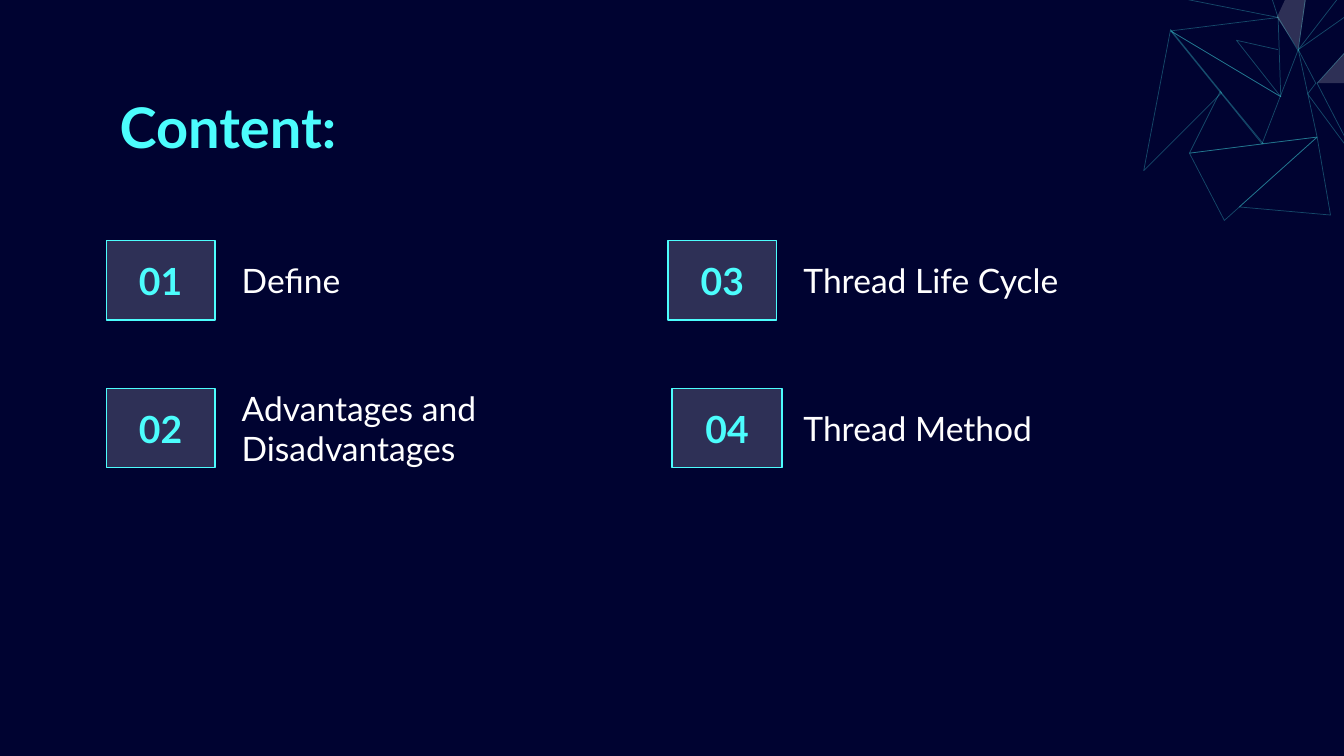
"""Build the contents slide: a heading, four numbered topics and a corner mesh."""
from lxml.etree import SubElement
from pptx import Presentation
from pptx.dml.color import RGBColor
from pptx.enum.shapes import MSO_SHAPE
from pptx.enum.text import MSO_ANCHOR as Anchor, MSO_AUTO_SIZE as AutoSize, PP_ALIGN as Align
from pptx.oxml.ns import qn
from pptx.util import Inches, Pt

HEADING = "Content:"
TOPICS = [
    {"number": "01", "label": "Define", "column": 0, "row": 0},
    {"number": "02", "label": "Advantages and Disadvantages", "column": 0, "row": 1, "label_width": 2.38},
    {"number": "03", "label": "Thread Life Cycle", "column": 1, "row": 0},
    {"number": "04", "label": "Thread Method", "column": 1, "row": 1, "nudge": 0.03, "box_width": 0.82},
]
MESH_LOOPS = [
    [(9.39, 1.07), (9.8, 1.02), (9.66, 0.37)],
    [(9.66, 0.37), (9.79, 0.62), (9.73, 0.7), (10.1, 1.2), (9.8, 0.62), (10.67, -0.34)],
    [(9.66, 0.37), (10.27, -0.42), (9.78, -0.5)],
    [(8.65, -0.04), (9.51, 0.13), (9.25, -0.68)],
    [(8.51, 1.27), (9.09, 0.69), (8.71, 0.22)],
    [(8.85, 1.14), (9.11, 1.64), (9.8, 1.02)],
    [(8.85, 1.14), (9.4, 1.07), (9.08, 0.68)],
    [(9.22, 1.54), (9.9, 1.6), (9.8, 1.02)],
]
MESH_TRAILS = [
    [(9.39, 1.07), (8.71, 0.23), (9.53, 0.72), (9.51, 0.13), (9.66, 0.38)],
    [(9.51, 0.37), (9.2, 0.3), (9.53, 0.72), (8.71, 0.23), (9.51, 0.13)],
]
MESH_FACETS = [
    [(9.5, 0.13), (9.79, -0.49), (9.66, 0.37)],
    [(9.8, 0.62), (10.57, 0.62), (10.3, 0.06)],
]
THEME = {
    "font": "Lato",
    "background": RGBColor(0x00, 0x03, 0x31),
    "accent": RGBColor(0x4C, 0xFD, 0xFD),
    "white": RGBColor(0xFF, 0xFF, 0xFF),
    "heading": Pt(30),
    "number": Pt(20),
    "label": Pt(18),
    "border": Pt(0.75),
    "hairline": Pt(0.4),
    "facet_opacity": 18,
    "mesh_opacity": 28,
}
LEFT, TOP = 0.79, 1.79
COLUMN_STEP, ROW_STEP = 4.18, 1.1
BOX_WIDTH, BOX_HEIGHT = 0.81, 0.59
LABEL_OFFSET, LABEL_WIDTH = 0.91, 3.18


def set_opacity(fill_parent, percent):
    color = next(fill_parent.iter(qn("a:srgbClr")))
    SubElement(color, qn("a:alpha"), val=str(percent * 1000))


def paint(shape, color, opacity):
    shape.fill.solid()
    shape.fill.fore_color.rgb = color
    set_opacity(shape.fill._xPr, opacity)


def draw_mesh(slide, points, closed=True, facet=False):
    start, *rest = [(Inches(x), Inches(y)) for x, y in points]
    builder = slide.shapes.build_freeform(*start)
    builder.add_line_segments(rest, close=closed)
    mesh = builder.convert_to_shape()
    mesh.shadow.inherit = False
    if facet:
        paint(mesh, THEME["white"], THEME["facet_opacity"])
        mesh.line.fill.background()
    else:
        mesh.fill.background()
        mesh.line.color.rgb = THEME["accent"]
        mesh.line.width = THEME["hairline"]
        set_opacity(mesh.line._ln, THEME["mesh_opacity"])


def write(shape, wording, size, color, bold=False, align=Align.LEFT, anchor=Anchor.MIDDLE):
    frame = shape.text_frame
    frame.word_wrap = True
    frame.auto_size = AutoSize.NONE
    frame.vertical_anchor = anchor
    frame.margin_left = frame.margin_right = Inches(0.1)
    frame.margin_top = frame.margin_bottom = Inches(0.1)
    paragraph = frame.paragraphs[0]
    paragraph.alignment = align
    paragraph.line_spacing = 1.0
    run = paragraph.add_run()
    run.text = wording
    run.font.name = THEME["font"]
    run.font.size = THEME[size]
    run.font.bold = bold
    run.font.color.rgb = THEME[color]


def add_topic(slide, topic):
    column_left = LEFT + topic["column"] * COLUMN_STEP
    top = Inches(TOP + topic["row"] * ROW_STEP)
    height = Inches(BOX_HEIGHT)
    box = slide.shapes.add_shape(
        MSO_SHAPE.RECTANGLE, Inches(column_left + topic.get("nudge", 0)), top,
        Inches(topic.get("box_width", BOX_WIDTH)), height)
    box.shadow.inherit = False
    paint(box, THEME["white"], THEME["facet_opacity"])
    box.line.color.rgb = THEME["accent"]
    box.line.width = THEME["border"]
    write(box, topic["number"], "number", "accent", bold=True, align=Align.CENTER)
    label = slide.shapes.add_textbox(
        Inches(column_left + LABEL_OFFSET), top, Inches(topic.get("label_width", LABEL_WIDTH)), height)
    write(label, topic["label"], "label", "white")


def main():
    deck = Presentation()
    deck.slide_width = Inches(10)
    deck.slide_height = deck.slide_width * 9 // 16
    slide = deck.slides.add_slide(deck.slide_layouts[5])
    slide.background.fill.solid()
    slide.background.fill.fore_color.rgb = THEME["background"]
    for loop in MESH_LOOPS:
        draw_mesh(slide, loop)
    for trail in MESH_TRAILS:
        draw_mesh(slide, trail, closed=False)
    for facet in MESH_FACETS:
        draw_mesh(slide, facet, facet=True)
    heading = slide.shapes.title
    slide.shapes._spTree.append(heading._element)
    heading.left, heading.top = Inches(LEFT), Inches(0.59)
    heading.width, heading.height = Inches(8.43), Inches(0.63)
    write(heading, HEADING, "heading", "accent", bold=True, anchor=Anchor.TOP)
    for topic in TOPICS:
        add_topic(slide, topic)
    deck.save("out.pptx")


if __name__ == "__main__":
    main()
